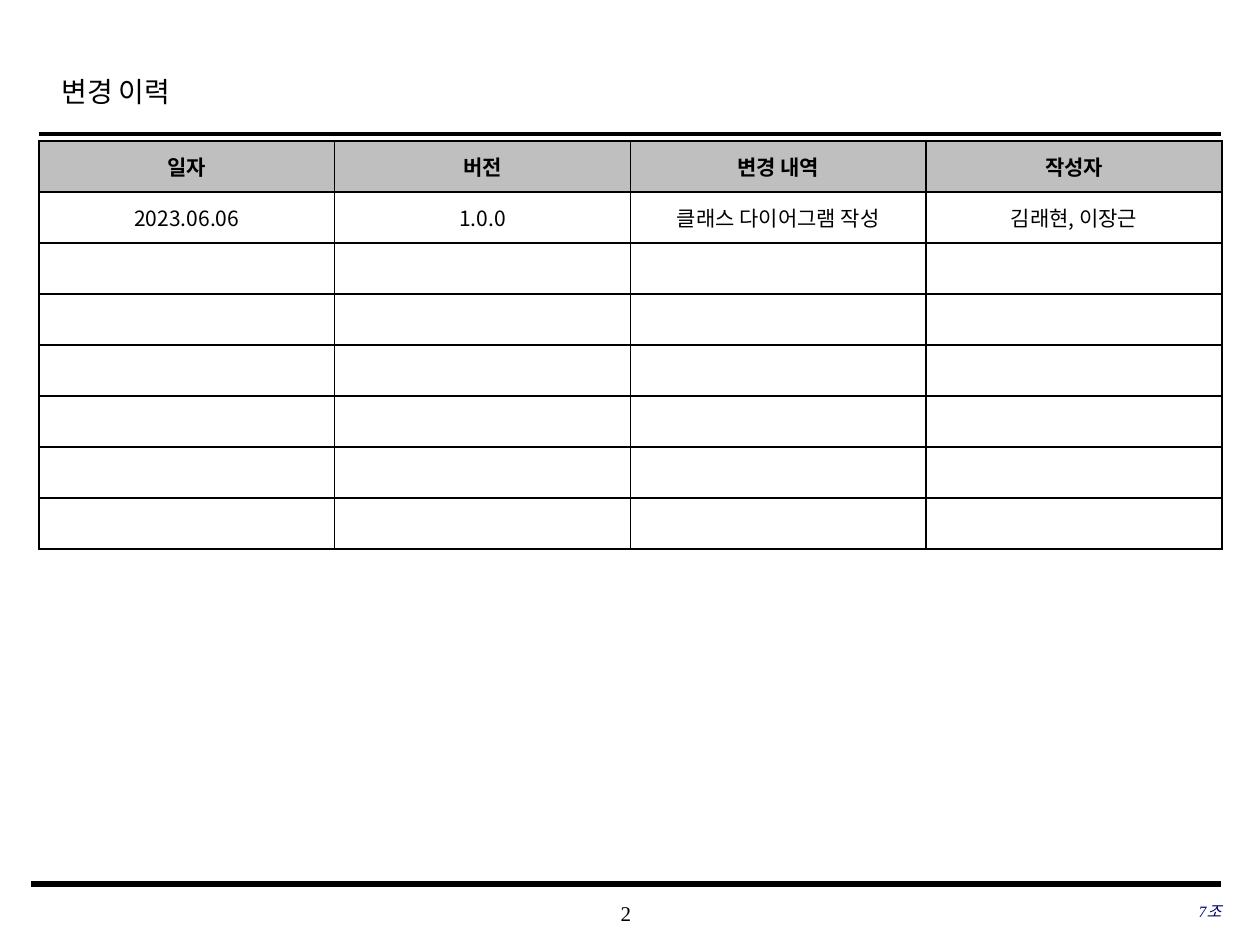
from lxml.etree import SubElement
from pptx import Presentation
from pptx.dml.color import RGBColor
from pptx.enum.shapes import MSO_CONNECTOR
from pptx.enum.text import MSO_ANCHOR, PP_ALIGN
from pptx.oxml.ns import qn
from pptx.util import Pt

SCALE = 914400 / 126
COLORS = {"black": "000000", "white": "FFFFFF", "header": "BFBFBF", "team": "000066"}
SERIF = "Times New Roman"
KOREAN = "Noto Sans CJK KR"
ROWS = [
    ["일자", "버전", "변경 내역", "작성자"],
    ["2023.06.06", "1.0.0", "클래스 다이어그램 작성", "김래현, 이장근"],
] + [[""] * 4 for _ in range(6)]


def px(length):
    return round(length * SCALE)


def color(name):
    return RGBColor.from_string(COLORS[name])


def set_attributes(target, values):
    for name, value in values.items():
        setattr(target, name, value)


def write_text(paragraph, text, size, font=SERIF, fill="black", **formats):
    run = paragraph.add_run()
    run.text = text
    set_attributes(run.font, {"size": Pt(size), "name": font, **formats})
    run.font.color.rgb = color(fill)
    SubElement(run.font._element, qn("a:ea"), typeface=KOREAN)


def add_text(slide, box, text, size, frame_formats, paragraph_formats, **font_formats):
    shape = slide.shapes.add_textbox(*map(px, box))
    set_attributes(shape.text_frame, {"word_wrap": True, **frame_formats})
    paragraph = shape.text_frame.paragraphs[0]
    set_attributes(paragraph, paragraph_formats)
    write_text(paragraph, text, size, **font_formats)


def add_rule(slide, left, right, top, width):
    line = slide.shapes.add_connector(
        MSO_CONNECTOR.STRAIGHT, px(left), px(top), px(right), px(top))
    line.line.color.rgb = color("black")
    line.line.width = Pt(width)
    SubElement(line._element.spPr, qn("a:effectLst"))


def add_borders(cell):
    properties = cell._tc.get_or_add_tcPr()
    for index, side in enumerate(("lnL", "lnR", "lnT", "lnB")):
        border = properties.makeelement(qn(f"a:{side}"), {"w": str(Pt(1))})
        fill = SubElement(border, qn("a:solidFill"))
        SubElement(fill, qn("a:srgbClr"), val=COLORS["black"])
        properties.insert(index, border)


def add_header(slide, left, top, width):
    add_text(slide, (left + 10, top, 951, 63), "변경 이력", 16, {}, {"line_spacing": 1.2})
    add_rule(slide, left, left + width, top + 72, 2.5)


def add_history(slide, left, top, width, height):
    frame = slide.shapes.add_table(
        len(ROWS), len(ROWS[0]), px(left), px(top), px(width), px(height))
    table = frame.table
    set_attributes(table, {"first_row": False, "horz_banding": False})
    for column in table.columns:
        column.width = px(width / len(ROWS[0]))
    for row_index, texts in enumerate(ROWS):
        is_header = row_index == 0
        table.rows[row_index].height = px(height / len(ROWS))
        for column_index, text in enumerate(texts):
            cell = table.cell(row_index, column_index)
            cell.vertical_anchor = MSO_ANCHOR.MIDDLE
            cell.fill.solid()
            cell.fill.fore_color.rgb = color("header" if is_header else "white")
            add_borders(cell)
            paragraph = cell.text_frame.paragraphs[0]
            paragraph.alignment = PP_ALIGN.CENTER
            if text:
                write_text(paragraph, text, 12, font=KOREAN, bold=is_header)
            else:
                SubElement(paragraph._p, qn("a:endParaRPr"), sz="1200")


def add_footer(slide, left, top, width):
    frame_formats = {f"margin_{side}": 0 for side in ("left", "top", "right", "bottom")}
    frame_formats["vertical_anchor"] = MSO_ANCHOR.MIDDLE
    add_rule(slide, left, left + width, top, 3)
    add_text(slide, (left + 464, top + 8, 262, 42), "2", 12,
             frame_formats, {"alignment": PP_ALIGN.CENTER})
    add_text(slide, (left + width - 386, top + 6, 386, 42), "7조", 9,
             frame_formats, {"alignment": PP_ALIGN.RIGHT}, fill="team", italic=True)


def main():
    presentation = Presentation()
    set_attributes(presentation, {"slide_width": px(1260), "slide_height": px(945)})
    slide = presentation.slides.add_slide(presentation.slide_layouts[6])
    add_header(slide, 39, 62, 1182)
    add_history(slide, 39, 141, 1183, 408)
    add_footer(slide, 31, 884, 1190)
    presentation.save("out.pptx")


if __name__ == "__main__":
    main()
